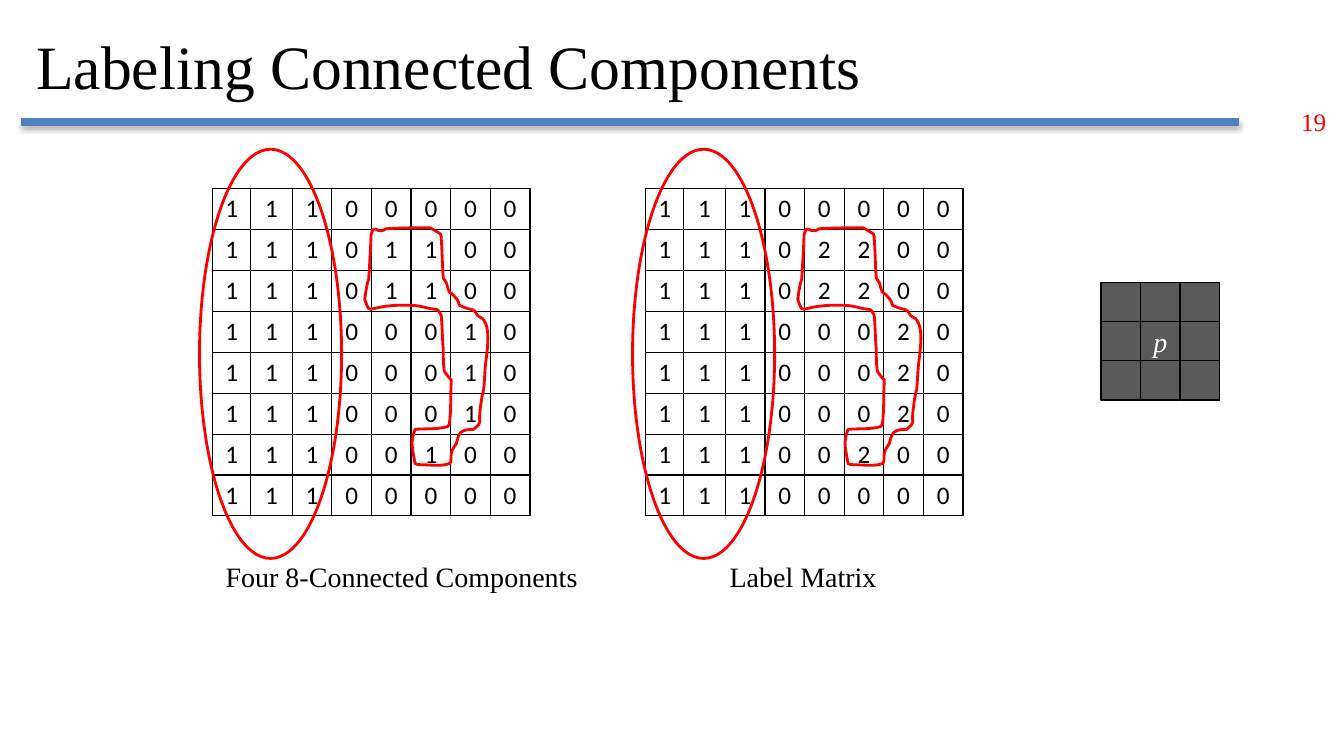
"""Build the slide on labelling 8-connected components."""
from dataclasses import dataclass

from lxml import etree
from pptx import Presentation
from pptx.dml.color import RGBColor
from pptx.enum import shapes, text
from pptx.oxml import ns
from pptx.util import Pt


@dataclass(frozen=True)
class Theme:
    serif: str = "Times New Roman"
    sans: str = "Calibri"
    black: str = "000000"
    white: str = "FFFFFF"
    red: str = "FF0000"
    bar: str = "4F81BD"
    gray: str = "595959"
    title: float = 44
    body: float = 20
    small: float = 18


@dataclass(frozen=True)
class Matrix:
    left: float
    label: str


@dataclass(frozen=True)
class Label:
    text: str
    left: float
    top: float
    width: float
    height: float
    size: float
    color: str
    wrap: bool
    tab: float = 0


T = Theme()
MATRICES = [Matrix(152, "1"), Matrix(461.3, "2")]
LABELS = [
    Label("19", 922.3, 72.4, 36, 29, T.small, T.red, False),
    Label("Four 8-Connected Components\tLabel Matrix", 154, 396, 641.5, 31.7,
          T.body, T.black, True, 360),
]
ROWS = ["11100000", "1110xx00", "1110xx00", "111000x0",
        "111000x0", "111000x0", "11100x00", "11100000"]
COLUMN_WIDTHS = [27.2, 29.6] + [28.3] * 6
ROW_HEIGHT = 28.8
GRID_TOP = 134.9

OUTLINE_UNIT = 0.72
OUTLINE_START = (7, 15)
OUTLINE_SEGMENTS = [
    ((5, 23), (8, 0), (4, 61)), ((3, 64), (2, 67), (2, 69)),
    ((1, 73), (1, 77), (0, 81)), ((7, 100), (0, 85), (47, 87)),
    ((51, 87), (56, 88), (60, 89)), ((75, 93), (71, 88), (76, 97)),
    ((77, 108), (77, 119), (78, 131)), ((78, 138), (78, 145), (79, 152)),
    ((80, 155), (86, 161), (86, 161)), ((85, 176), (86, 191), (84, 205)),
    ((84, 207), (81, 208), (79, 208)), ((70, 210), (60, 209), (50, 210)),
    ((46, 222), (46, 222), (50, 244)), ((51, 245), (54, 245), (55, 245)),
    ((65, 245), (75, 247), (84, 244)), ((87, 243), (85, 237), (86, 234)),
    ((87, 229), (88, 229), (91, 224)), ((93, 218), (92, 214), (99, 211)),
    ((102, 210), (105, 210), (108, 210)), ((118, 201), (112, 208), (115, 187)),
    ((116, 180), (116, 178), (118, 171)), ((119, 162), (119, 154), (120, 145)),
    ((120, 142), (125, 116), (120, 105)), ((119, 103), (118, 101), (117, 100)),
    ((115, 99), (113, 98), (112, 97)), ((107, 89), (110, 93), (99, 89)),
    ((94, 87),), ((93, 83), (92, 81), (89, 78)),
    ((88, 76), (86, 75), (84, 74)), ((80, 63), (83, 67), (78, 60)),
    ((77, 47), (77, 34), (76, 21)), ((76, 19), (76, 17), (75, 16)),
    ((72, 14), (65, 10), (65, 10)), ((50, 10), (36, 10), (21, 11)),
    ((20, 12), (18, 13), (17, 13)), ((12, 14), (9, 7), (7, 15)),
]


def style(p, size: float, color: str, font: str = T.serif, italic: bool = False) -> None:
    """Format every run of a paragraph."""
    for r in p.runs:
        r.font.name, r.font.size, r.font.italic = font, Pt(size), italic
        r.font.color.rgb = RGBColor.from_string(color)


def add_title(s, title: str) -> None:
    """Fill and place the title placeholder."""
    sp = s.shapes.title
    sp.left, sp.top, sp.width, sp.height = Pt(18.7), Pt(10.1), Pt(830.2), Pt(72.7)
    tf = sp.text_frame
    tf.text = title
    tf.auto_size = text.MSO_AUTO_SIZE.NONE
    tf.vertical_anchor = text.MSO_ANCHOR.MIDDLE
    tf.paragraphs[0].alignment = text.PP_ALIGN.LEFT
    style(tf.paragraphs[0], T.title, T.black)


def add_bar(s) -> None:
    """Draw the shadowed rule below the title."""
    sp = s.shapes.add_shape(shapes.MSO_SHAPE.RECTANGLE, Pt(15.1), Pt(84.4), Pt(869.8), Pt(5.6))
    sp.fill.solid()
    sp.fill.fore_color.rgb = RGBColor.from_string(T.bar)
    sp.line.fill.background()
    sp.shadow.inherit = False
    effects = sp.fill._xPr.find(ns.qn("a:effectLst"))
    shadow = etree.SubElement(effects, ns.qn("a:outerShdw"), blurRad=str(Pt(3.5)),
                              dist=str(Pt(2.2)), dir="5400000", rotWithShape="0")
    color = etree.SubElement(shadow, ns.qn("a:srgbClr"), val=T.black)
    etree.SubElement(color, ns.qn("a:alpha"), val="32000")


def add_label(s, label: Label) -> None:
    """Add one line of text, with a tab stop if it needs one."""
    tf = s.shapes.add_textbox(Pt(label.left), Pt(label.top), Pt(label.width),
                              Pt(label.height)).text_frame
    tf.word_wrap = label.wrap
    tf.auto_size = text.MSO_AUTO_SIZE.SHAPE_TO_FIT_TEXT
    tf.text = label.text
    p = tf.paragraphs[0]
    if label.tab:
        tabs = etree.SubElement(p._p.get_or_add_pPr(), ns.qn("a:tabLst"))
        etree.SubElement(tabs, ns.qn("a:tab"), pos=str(Pt(label.tab)), algn="l")
    style(p, label.size, label.color)


def add_borders(cell) -> None:
    """Give a table cell thin black borders on all sides."""
    props = cell._tc.get_or_add_tcPr()
    for side in ("lnL", "lnR", "lnT", "lnB"):
        line = etree.SubElement(props, ns.qn(f"a:{side}"), w=str(Pt(1)))
        fill = etree.SubElement(line, ns.qn("a:solidFill"))
        etree.SubElement(fill, ns.qn("a:srgbClr"), val=T.black)


def add_grid(s, matrix: Matrix) -> None:
    """Add the table of pixel values."""
    table = s.shapes.add_table(len(ROWS), len(COLUMN_WIDTHS), Pt(matrix.left), Pt(GRID_TOP),
                               Pt(sum(COLUMN_WIDTHS)), Pt(ROW_HEIGHT * len(ROWS))).table
    table.first_row = table.horz_banding = False
    for column, width in zip(table.columns, COLUMN_WIDTHS):
        column.width = Pt(width)
    for i, values in enumerate(ROWS):
        table.rows[i].height = Pt(ROW_HEIGHT)
        for j, value in enumerate(values.replace("x", matrix.label)):
            cell = table.cell(i, j)
            add_borders(cell)
            cell.fill.background()
            cell.text_frame.text = value
            p = cell.text_frame.paragraphs[0]
            p.alignment = text.PP_ALIGN.CENTER
            style(p, T.small, T.black, T.sans)


def outline_red(sp) -> None:
    """Leave a shape hollow with a red line."""
    sp.fill.background()
    sp.line.color.rgb = RGBColor.from_string(T.red)
    sp.line.width = Pt(2)
    sp.shadow.inherit = False


def add_component_marks(s, matrix: Matrix) -> None:
    """Circle the left component and trace the right one."""
    outline_red(s.shapes.add_shape(shapes.MSO_SHAPE.OVAL, Pt(matrix.left - 9.5), Pt(106.6),
                                   Pt(101.5), Pt(292.3)))

    def place(point: tuple[int, int]) -> tuple[int, int]:
        """Return the slide position of an outline point."""
        x, y = point
        return Pt(matrix.left + 108.5 + OUTLINE_UNIT * x), Pt(155.5 + OUTLINE_UNIT * y)

    builder = s.shapes.build_freeform(*place(OUTLINE_START))
    builder.add_line_segments([place(segment[-1]) for segment in OUTLINE_SEGMENTS], close=True)
    sp = builder.convert_to_shape()
    lines = list(sp._element.iter(ns.qn("a:lnTo")))
    for line, (*controls, _) in zip(lines, OUTLINE_SEGMENTS):
        if controls:
            line.tag = ns.qn("a:cubicBezTo")
        for i, control in enumerate(controls):
            x, y = place(control)
            line.insert(i, etree.Element(ns.qn("a:pt"), x=str(x - sp.left), y=str(y - sp.top)))
    outline_red(sp)


def add_neighbourhood(s) -> None:
    """Draw the 3 by 3 neighbourhood around pixel p."""
    group = s.shapes.add_group_shape()
    for i in range(9):
        row, column = divmod(i, 3)
        sp = group.shapes.add_shape(shapes.MSO_SHAPE.RECTANGLE, Pt(786.3 + 28.4 * column),
                                    Pt(202 + 27.8 * row), Pt(28.2), Pt(28.2))
        sp.fill.solid()
        sp.fill.fore_color.rgb = RGBColor.from_string(T.gray)
        sp.line.color.rgb = RGBColor.from_string(T.black)
        sp.line.width = Pt(1)
        sp.shadow.inherit = False
        if row == column == 1:
            tf = sp.text_frame
            tf.word_wrap = False
            tf.vertical_anchor = text.MSO_ANCHOR.MIDDLE
            tf.text = "p"
            tf.paragraphs[0].alignment = text.PP_ALIGN.CENTER
            style(tf.paragraphs[0], T.body, T.white, italic=True)


def main() -> None:
    """Assemble and save the slide."""
    prs = Presentation()
    prs.slide_width, prs.slide_height = Pt(960), Pt(540)
    s = prs.slides.add_slide(prs.slide_layouts[5])
    add_bar(s)
    add_title(s, "Labeling Connected Components")
    for matrix in MATRICES:
        add_grid(s, matrix)
        add_component_marks(s, matrix)
    for label in LABELS:
        add_label(s, label)
    add_neighbourhood(s)
    prs.save("out.pptx")


if __name__ == "__main__":
    main()
